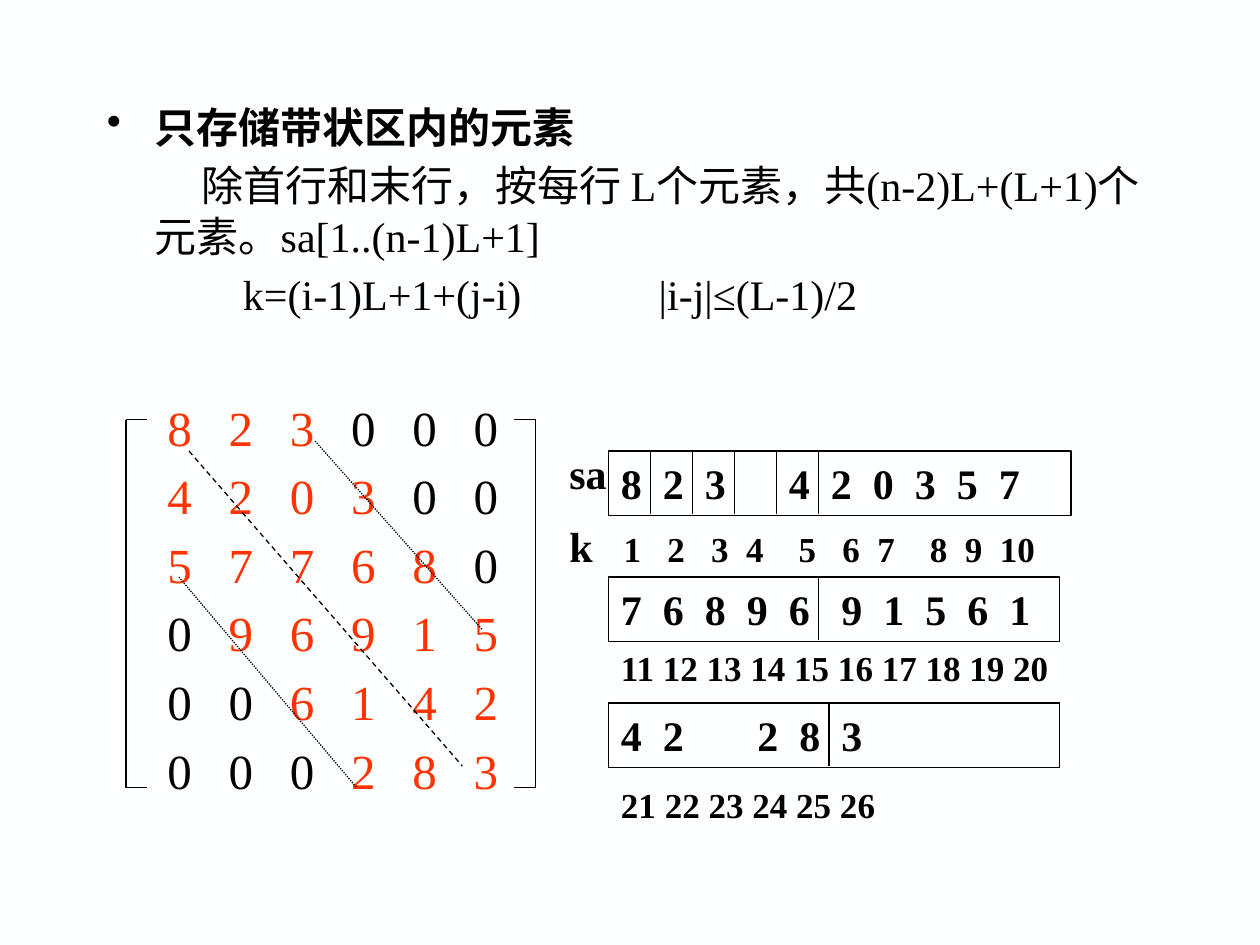
from dataclasses import dataclass
from itertools import accumulate

from lxml.etree import SubElement
from pptx import Presentation
from pptx.dml.color import RGBColor
from pptx.enum.dml import MSO_LINE
from pptx.enum.shapes import MSO_CONNECTOR, MSO_SHAPE
from pptx.enum.text import MSO_ANCHOR, PP_ALIGN
from pptx.oxml.ns import qn
from pptx.util import Inches, Pt


@dataclass(frozen=True)
class Theme:
    font: str = "Times New Roman"
    background: RGBColor = RGBColor(0xFE, 0xFF, 0xFF)
    ink: RGBColor = RGBColor(0, 0, 0)
    band: RGBColor = RGBColor(0xFF, 0x33, 0x00)
    body: int = 24
    matrix: int = 28
    index: int = 20
    line: float = 0.75


@dataclass(frozen=True)
class ArrayRow:
    width: float
    slots: str
    dividers: tuple
    shift_from: int

    def slot_start(self, slot):
        return slot * SLOT_PITCH

    def value_stop(self, slot):
        return self.slot_start(slot) + (SLOT_SHIFT if slot >= self.shift_from else 0)

    def divider_stop(self, slot):
        return self.slot_start(slot) + (SLOT_SHIFT if slot > self.shift_from else 0)


THEME = Theme()

MATRIX = ["823000", "420300", "577680", "096915", "006142", "000283"]
HALF_BAND = 2
MATRIX_LEFT = Inches(0.48)
MATRIX_PITCH = Pt(35)

SLOT_PITCH = Pt(24)
SLOT_SHIFT = Pt(6)
ARRAY_LEFT = 4.83
ARRAY_TOP = 3.58
ARRAY_HEIGHT = 0.51
ARRAY_ROWS = [
    ArrayRow(3.67, "823 420357", dividers=(1, 2, 3, 4, 5), shift_from=10),
    ArrayRow(3.58, "7689691561", dividers=(5,), shift_from=5),
    ArrayRow(3.58, "42 283", dividers=(5,), shift_from=2),
]

LABEL_LEFT = 4.42
FIRST_INDEX_STOP = 31
INDEX_GAPS = [25, 25, 20, 30, 25, 20, 30, 20, 20]


def add_run(p, text, size=THEME.body, color=THEME.ink, bold=False):
    r = p.add_run()
    r.text = text
    r.font.name = THEME.font
    r.font.size = Pt(size)
    r.font.bold = bold
    r.font.color.rgb = color


def set_tabs(p, stops):
    tabs = SubElement(p._p.get_or_add_pPr(), qn("a:tabLst"))
    for stop in stops:
        SubElement(tabs, qn("a:tab"), pos=str(int(stop)), algn="l")


def set_indent(p, left, first):
    pPr = p._p.get_or_add_pPr()
    pPr.set("marL", str(Inches(left)))
    pPr.set("indent", str(Inches(first)))


def set_spacing(p, line, before=0):
    p.line_spacing = Pt(line)
    p.space_before = Pt(before)


def setup_frame(sp, wrap=True):
    tf = sp.text_frame
    tf.word_wrap = wrap
    tf.vertical_anchor = MSO_ANCHOR.TOP
    tf.paragraphs[0].alignment = PP_ALIGN.LEFT
    return tf


def add_text_box(s, x, y, w, h, wrap=True):
    sp = s.shapes.add_textbox(Inches(x), Inches(y), Inches(w), Inches(h))
    return setup_frame(sp, wrap)


def add_line(s, x1, y1, x2, y2, dash=None):
    line = s.shapes.add_connector(
        MSO_CONNECTOR.STRAIGHT, Inches(x1), Inches(y1), Inches(x2), Inches(y2))
    line.line.color.rgb = THEME.ink
    line.line.width = Pt(THEME.line)
    if dash:
        line.line.dash_style = dash
    SubElement(line._element.spPr, qn("a:effectLst"))


def add_matrix_rows(tf):
    for i, row in enumerate(MATRIX):
        p = tf.add_paragraph()
        set_tabs(p, [MATRIX_LEFT + MATRIX_PITCH * j for j in range(len(row))])
        set_spacing(p, 32, before=7.2 if i else 46.4)
        for j, value in enumerate(row):
            color = THEME.band if abs(i - j) <= HALF_BAND else THEME.ink
            add_run(p, f"\t{value}", size=THEME.matrix, color=color)


def add_body(s):
    tf = add_text_box(s, 0.75, 0.75, 8.5, 6)

    heading = tf.paragraphs[0]
    set_indent(heading, 0.38, -0.38)
    SubElement(heading._p.get_or_add_pPr(), qn("a:buChar"), char="•")
    set_spacing(heading, 29)
    add_run(heading, "只存储带状区内的元素", bold=True)

    rule = tf.add_paragraph()
    set_indent(rule, 0.38, 0.37)
    set_spacing(rule, 29, before=4.3)
    add_run(rule, "除首行和末行，按每行 L个元素，共(n-2)L+(L+1)个元素。sa[1..(n-1)L+1]")

    formula = tf.add_paragraph()
    set_tabs(formula, [Inches(1.08), Inches(4.38)])
    set_spacing(formula, 29, before=4.3)
    add_run(formula, "\tk=(i-1)L+1+(j-i)\t|i-j|≤(L-1)/2")

    add_matrix_rows(tf)


def add_bracket(s, x, tip, top=3.33, bottom=6.25):
    add_line(s, x, top, x, bottom)
    for y in (top, bottom):
        add_line(s, x, y, tip, y)


def add_band_lines(s):
    add_line(s, 2.5, 3.5, 3.83, 5, dash=MSO_LINE.ROUND_DOT)
    add_line(s, 1.42, 4.58, 2.83, 6.25, dash=MSO_LINE.ROUND_DOT)
    add_line(s, 1.5, 3.58, 3.67, 6.08, dash=MSO_LINE.DASH)


def add_array_row(s, row, top):
    sp = s.shapes.add_shape(
        MSO_SHAPE.RECTANGLE, Inches(ARRAY_LEFT), Inches(top),
        Inches(row.width), Inches(ARRAY_HEIGHT))
    sp.shadow.inherit = False
    sp.fill.background()
    sp.line.color.rgb = THEME.ink
    sp.line.width = Pt(THEME.line)

    filled = [slot for slot, value in enumerate(row.slots) if value != " "]
    p = setup_frame(sp).paragraphs[0]
    set_tabs(p, [row.value_stop(slot) for slot in filled[1:]])
    add_run(p, "\t".join(row.slots[slot] for slot in filled), bold=True)

    for slot in row.dividers:
        x = ARRAY_LEFT + row.divider_stop(slot).inches if hasattr(
            row.divider_stop(slot), "inches") else ARRAY_LEFT + row.divider_stop(slot) / Inches(1)
        add_line(s, x, top, x, top + 0.5)


def add_index_labels(s):
    array_name = add_text_box(s, LABEL_LEFT, 3.5, 0.5, 0.5, wrap=False).paragraphs[0]
    add_run(array_name, "sa", bold=True)

    first_row = add_text_box(s, LABEL_LEFT, 4.08, 4.08, 0.5).paragraphs[0]
    stops = accumulate(INDEX_GAPS, initial=FIRST_INDEX_STOP)
    set_tabs(first_row, [Pt(stop) for stop in stops])
    add_run(first_row, "k", bold=True)
    for k in range(1, 11):
        add_run(first_row, f"\t{k}", size=THEME.index, bold=True)

    for top, width, first, last in ((5.08, 3.67, 11, 20), (6.17, 2.42, 21, 26)):
        p = add_text_box(s, ARRAY_LEFT, top, width, 0.43).paragraphs[0]
        numbers = " ".join(str(k) for k in range(first, last + 1))
        add_run(p, numbers, size=THEME.index, bold=True)


def main():
    prs = Presentation()
    prs.slide_width, prs.slide_height = Inches(10), Inches(7.5)
    s = prs.slides.add_slide(prs.slide_layouts[6])
    s.background.fill.solid()
    s.background.fill.fore_color.rgb = THEME.background

    add_body(s)
    add_bracket(s, x=1, tip=1.17)
    add_bracket(s, x=4.25, tip=4.08)
    add_band_lines(s)
    for i, row in enumerate(ARRAY_ROWS):
        add_array_row(s, row, ARRAY_TOP + i)
    add_index_labels(s)
    prs.save("out.pptx")


if __name__ == "__main__":
    main()
